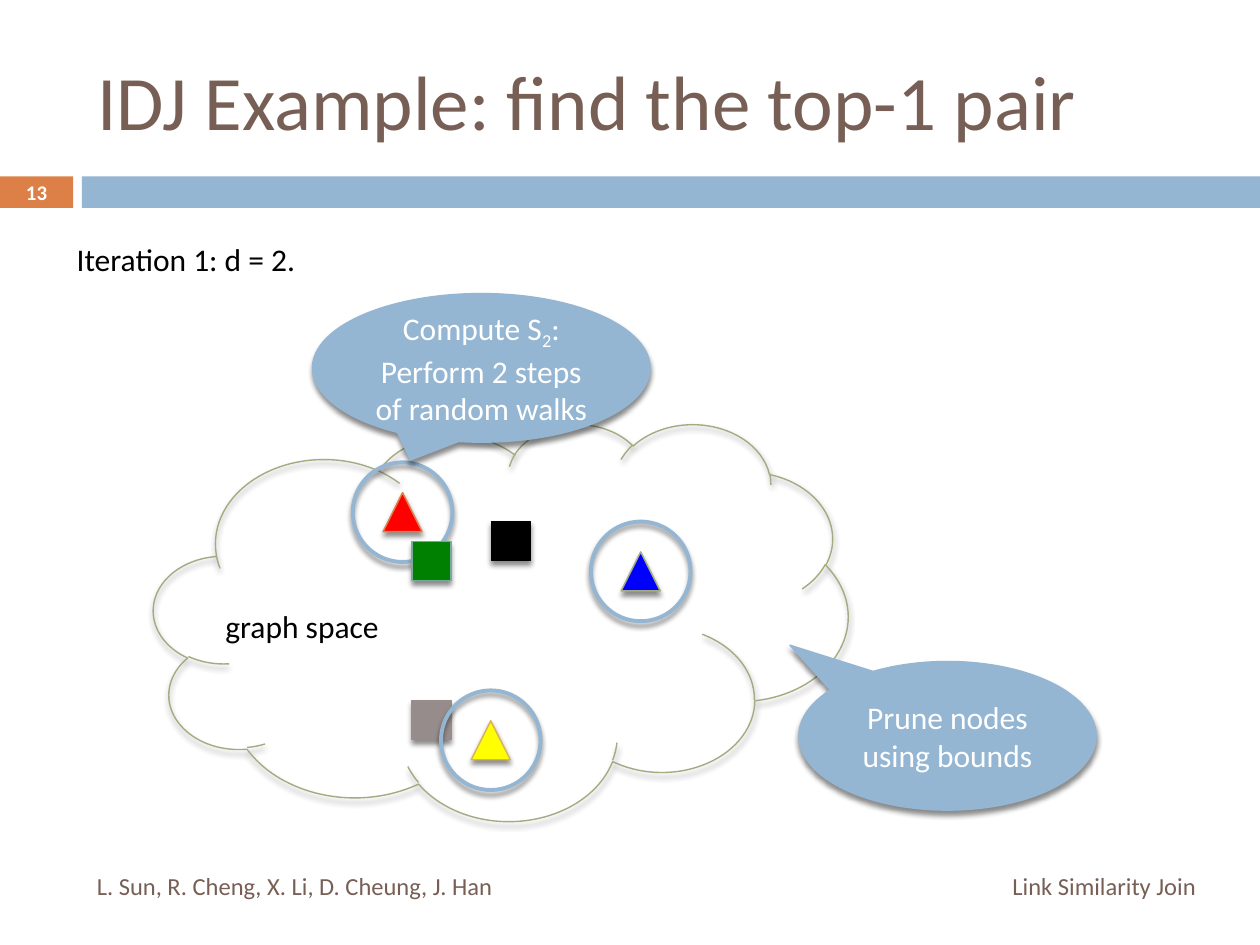
from pptx import Presentation
from pptx.dml.color import RGBColor
from pptx.enum.shapes import MSO_SHAPE as Kind
from pptx.enum.text import MSO_ANCHOR as Anchor, PP_ALIGN as Align
from pptx.oxml import parse_xml
from pptx.util import Inches, Pt

BLUE, BROWN, WHITE, BLACK = "94B6D2", "775F55", "FFFFFF", "000000"
SHADE = (
    '<a:effectLst xmlns:a="http://schemas.openxmlformats.org/drawingml/2006/main">'
    '<a:outerShdw blurRad="38100" dist="30480" dir="5400000" rotWithShape="0">'
    '<a:srgbClr val="000000"><a:alpha val="45000"/></a:srgbClr>'
    '</a:outerShdw></a:effectLst>'
)
rgb = RGBColor.from_string


def draw(kind, box, fill=None, line=None, width=0.79):
    item = slide.shapes.add_shape(kind, *map(Inches, box))
    item.shadow.inherit = False
    if fill:
        item.fill.solid()
        item.fill.fore_color.rgb = rgb(fill)
    else:
        item.fill.background()
    if line:
        item.line.color.rgb = rgb(line)
        item.line.width = Pt(width)
        # Outlined shapes cast a soft shadow straight down
        props = item._element.spPr
        props.replace(props.find("{*}effectLst"), parse_xml(SHADE))
    else:
        item.line.fill.background()
    return item


def write(item, parts, size, color, align=Align.LEFT, anchor=Anchor.MIDDLE, bold=False):
    frame = item.text_frame
    frame.word_wrap = True
    frame.vertical_anchor = anchor
    para = frame.paragraphs[0]
    para.alignment = align
    look = {"name": "Calibri", "size": Pt(size), "bold": bold}
    for text, base in parts:
        run = para.add_run()
        run.text = text
        for key, value in look.items():
            setattr(run.font, key, value)
        run.font.color.rgb = rgb(color)
        if base:
            run._r.get_or_add_rPr().set("baseline", str(base * 1000))


deck = Presentation()
deck.slide_width, deck.slide_height = Inches(10), Inches(7.5)
slide = deck.slides.add_slide(deck.slide_layouts[5])

# Title
title = slide.shapes.title
place = {"left": 0.67, "top": 0.25, "width": 8.92, "height": 1.08}
for key, value in place.items():
    setattr(title, key, Inches(value))
write(title, [("IDJ Example: find the top-1 pair", 0)], 44, BROWN)

# Header bands
draw(Kind.RECTANGLE, (0, 1.4, 0.58, 0.25), "DD8047")
draw(Kind.RECTANGLE, (0.65, 1.4, 9.35, 0.25), BLUE)

# Graph space with its square nodes
draw(Kind.CLOUD, (1.22, 3.36, 5.51, 3.15), line="A5AB81")
node = 0.31
for left, top, fill in [(3.9, 4.14, BLACK), (3.27, 5.56, "968C8C")]:
    draw(Kind.RECTANGLE, (left, top, node, node), fill, fill)

# Triangle nodes centred in rings
ring = 0.79
gap = (ring - node) / 2
for left, top, fill, line in [
    (4.69, 4.14, "0000FF", "A5AB81"),
    (2.8, 3.67, "FF0000", "DD8047"),
    (3.5, 5.48, "FFFF00", "D8B25C"),
]:
    draw(Kind.OVAL, (left, top, ring, ring), line=BLUE, width=2.25)
    draw(Kind.ISOSCELES_TRIANGLE, (left + gap, top + gap, node, node), fill, line)

# Green node, over the red one's ring
draw(Kind.RECTANGLE, (3.27, 4.3, node, node), "008000", "7BA79D")

# Callouts: box, pointer tip, text parts with baseline shift
for box, tip, parts in [
    ((2.48, 2.33, 2.68, 1.18), (-0.21, 0.62),
     [("Compute S", 0), ("2", -25), (": Perform 2 steps of random walks", 0)]),
    ((6.34, 5.25, 2.36, 1.18), (-0.53, -0.61), [("Prune nodes using bounds", 0)]),
]:
    call = draw(Kind.OVAL_CALLOUT, box, BLUE, BLUE)
    call.adjustments[0], call.adjustments[1] = tip
    write(call, parts, 18, WHITE, Align.CENTER)

# Labels, page number and footers
for box, text, size, color, align, anchor, bold in [
    ((0.51, 1.86, 2.05, 0.4), "Iteration 1: d = 2.", 18, BLACK, Align.LEFT, Anchor.TOP, False),
    ((1.69, 4.77, 3.07, 0.4), "graph space", 18, BLACK, Align.LEFT, Anchor.TOP, False),
    ((0, 1.39, 0.58, 0.27), "13", 11.9, WHITE, Align.CENTER, Anchor.MIDDLE, True),
    ((6.67, 6.83, 2.92, 0.4), "Link Similarity Join", 14, BROWN,
     Align.RIGHT, Anchor.MIDDLE, False),
    ((0.67, 6.83, 5.93, 0.4), "L. Sun, R. Cheng, X. Li, D. Cheung, J. Han", 14, BROWN,
     Align.LEFT, Anchor.MIDDLE, False),
]:
    label = slide.shapes.add_textbox(*map(Inches, box))
    write(label, [(text, 0)], size, color, align, anchor, bold)

deck.save("out.pptx")
